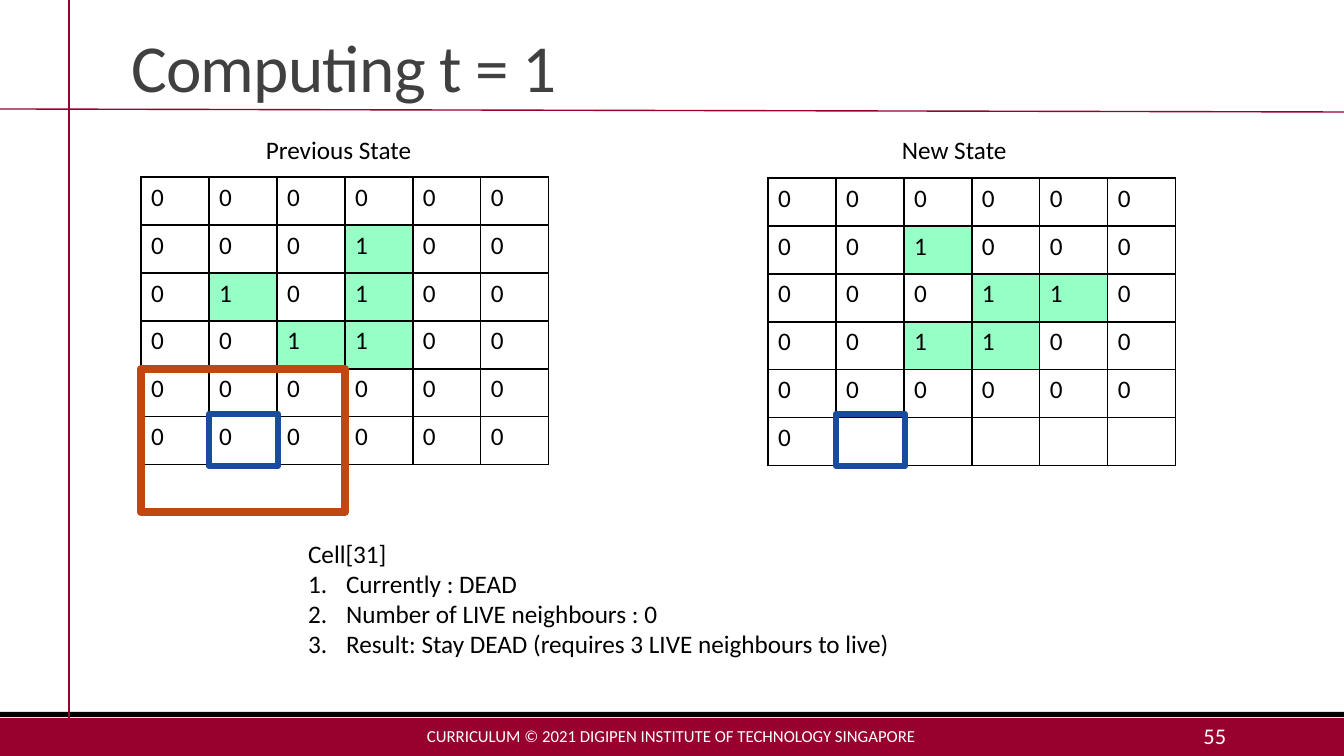
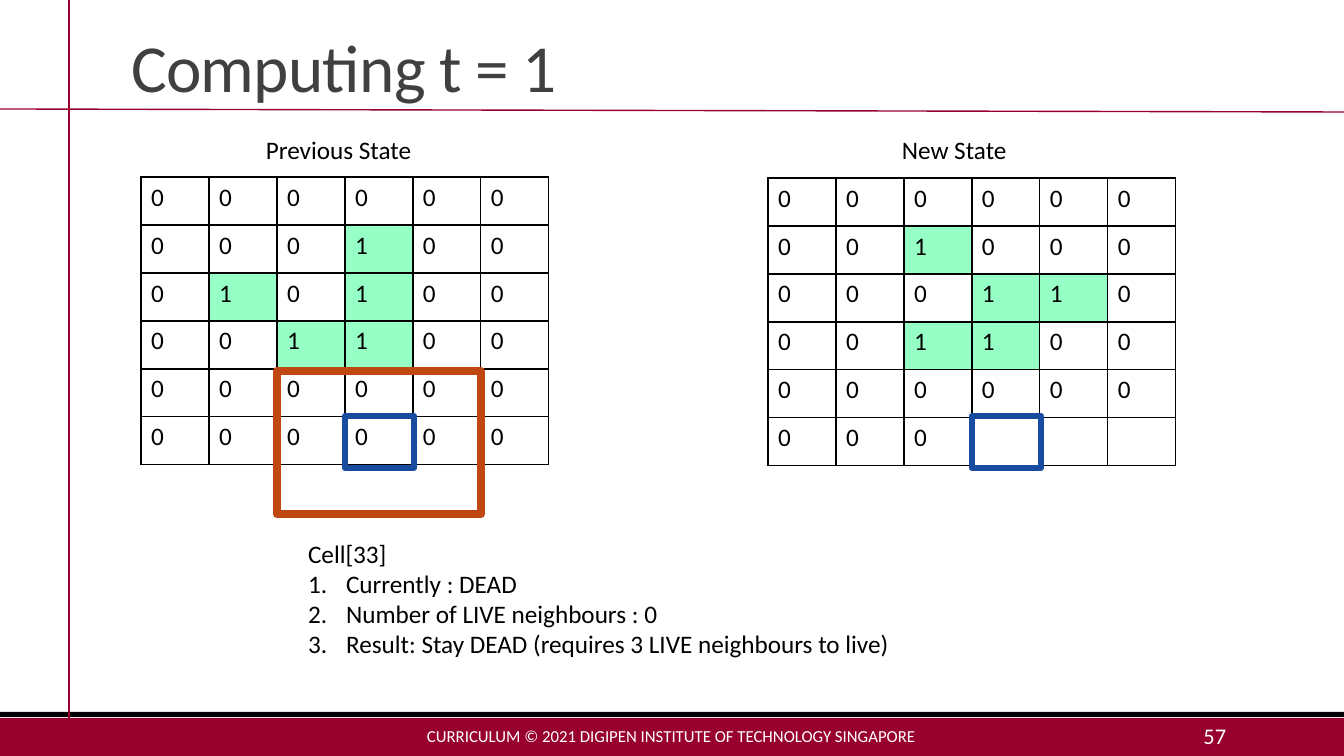
from lxml.etree import SubElement
from pptx import Presentation
from pptx.dml.color import RGBColor
from pptx.enum.shapes import MSO_CONNECTOR, MSO_SHAPE
from pptx.enum.text import MSO_ANCHOR, MSO_AUTO_SIZE, PP_ALIGN
from pptx.oxml.ns import qn
from pptx.util import Emu, Pt

WINE, BLACK, WHITE, GREY = "98012E", "000000", "FFFFFF", "404040"
GREEN, RUST, BLUE = "96FFC6", "BE4712", "194C9F"
WIDE, HIGH = 1344, 756
SIDE, COL, ROW = 6, 68, 48
OLD_X, OLD_Y = 141, 177
NEW_X, NEW_Y = 768, 178
OLD = "000000" "000100" "010100" "001100" "000000" "000000"
NEW = "000000" "001000" "000110" "001100" "000000" "000000"
CREDIT = "CURRICULUM © 2021 DIGIPEN INSTITUTE OF TECHNOLOGY SINGAPORE"
FACTS = [
    "Currently : DEAD",
    "Number of LIVE neighbours : 0",
    "Result: Stay DEAD (requires 3 LIVE neighbours to live)",
]


def px(*sizes):
    """Turn px lengths into EMU, at 100.8 px to the inch."""
    return [Emu(round(size * 914400 / 100.8)) for size in sizes]


def color(code):
    return RGBColor.from_string(code)


class Deck:
    """Holds the style and the slide being built."""

    font = "Calibri"

    def __init__(self):
        self.prs = Presentation()
        self.prs.slide_width, self.prs.slide_height = px(WIDE, HIGH)
        self.slide = None

    def style(self, part, size, code):
        part.font.name = self.font
        part.font.size = Pt(size)
        part.font.color.rgb = color(code)

    def place(self, shape, *box):
        shape.left, shape.top, shape.width, shape.height = px(*box)

    def start(self, title, page):
        """Add a slide with its bands, rules, title and footer."""
        self.slide = self.prs.slides.add_slide(self.prs.slide_layouts[1])
        self.rect(0, 718, WIDE, 38, fill=WINE)
        self.rect(0, 712, WIDE, 5, fill=BLACK)
        self.rule(69, 0, 69, 718)
        self.rule(0, 109, WIDE, 112)
        self.title(title)
        self.text(CREDIT, 406, 716, 531, 40, 12, WHITE, PP_ALIGN.CENTER)
        self.text(str(page), 1092, 716, 144, 40, 16, WHITE, PP_ALIGN.RIGHT)

    def title(self, text):
        shape = self.slide.shapes.title
        self.place(shape, 121, 16, 1109, 95)
        frame = shape.text_frame
        frame.text = text
        frame.auto_size = MSO_AUTO_SIZE.NONE
        frame.vertical_anchor = MSO_ANCHOR.BOTTOM
        para = frame.paragraphs[0]
        para.alignment = PP_ALIGN.LEFT
        para.line_spacing = 0.85
        run = para.runs[0]
        self.style(run, 48, GREY)
        run._r.get_or_add_rPr().set("spc", "-50")

    def rect(self, *box, fill=None, line=None, width=0):
        shape = self.slide.shapes.add_shape(MSO_SHAPE.RECTANGLE, *px(*box))
        shape.shadow.inherit = False
        if fill:
            shape.fill.solid()
            shape.fill.fore_color.rgb = color(fill)
        else:
            shape.fill.background()
        if line:
            shape.line.color.rgb = color(line)
            shape.line.width = Pt(width)
        else:
            shape.line.fill.background()

    def rule(self, *ends):
        line = self.slide.shapes.add_connector(MSO_CONNECTOR.STRAIGHT, *px(*ends))
        line.line.color.rgb = color(WINE)
        line.line.width = Pt(1)
        SubElement(line._element.spPr, qn("a:effectLst"))

    def text(self, text, x, y, w, h, size=18, code=BLACK, align=PP_ALIGN.LEFT):
        frame = self.slide.shapes.add_textbox(*px(x, y, w, h)).text_frame
        frame.word_wrap = True
        frame.vertical_anchor = MSO_ANCHOR.MIDDLE
        frame.text = text
        para = frame.paragraphs[0]
        para.alignment = align
        self.style(para.runs[0], size, code)

    def steps(self, head, items, *box):
        """Fill the body with a heading and a numbered list."""
        shape = self.slide.placeholders[1]
        self.place(shape, *box)
        frame = shape.text_frame
        frame.text = "\n".join([head, *items])
        frame.auto_size = MSO_AUTO_SIZE.NONE
        for i, para in enumerate(frame.paragraphs):
            props = para._p.get_or_add_pPr()
            indent = px(38)[0] if i else 0
            props.set("marL", str(indent))
            props.set("indent", str(-indent))
            if i:
                SubElement(props, qn("a:buFont"), typeface=self.font)
                SubElement(props, qn("a:buAutoNum"), type="arabicPeriod")
            else:
                SubElement(props, qn("a:buNone"))
            para.space_before = Pt(0)
            self.style(para.runs[0], 18, BLACK)

    def grid(self, states, x, y):
        """Draw the cells, with live ones in green."""
        frame = self.slide.shapes.add_table(
            SIDE, SIDE, *px(x, y, SIDE * COL, SIDE * ROW))
        table = frame.table
        table.first_row = table.horz_banding = False
        for state, cell in zip(states, table.iter_cells()):
            self.edge(cell)
            cell.fill.solid()
            cell.fill.fore_color.rgb = color(GREEN if state == "1" else WHITE)
            cell.text = state.strip()
            self.style(cell.text_frame.paragraphs[0], 18, BLACK)

    def edge(self, cell):
        props = cell._tc.get_or_add_tcPr()
        for side in "LRTB":
            line = SubElement(props, qn(f"a:ln{side}"), w=str(Pt(1)))
            fill = SubElement(line, qn("a:solidFill"))
            SubElement(fill, qn("a:srgbClr"), val=BLACK)


def main():
    deck = Deck()
    for page, index, top in [(55, 31, 369), (57, 33, 371)]:
        col = index % SIDE
        deck.start("Computing t = 1", page)
        deck.grid(OLD, OLD_X, OLD_Y)
        deck.steps(f"Cell[{index}]", FACTS, 298, 533, 771, 132)
        deck.grid(NEW[:index].ljust(SIDE * SIDE), NEW_X, NEW_Y)
        deck.rect(OLD_X + (col - 1) * COL, top, 3 * COL, 143, line=RUST, width=6)
        deck.text("Previous State", 256, 129, 177, 40)
        deck.text("New State", 892, 129, 177, 40)
        for left in (OLD_X, NEW_X):
            deck.rect(left + col * COL, top + 45, 69, 52, line=BLUE, width=4.5)
    deck.prs.save("out.pptx")


if __name__ == "__main__":
    main()
